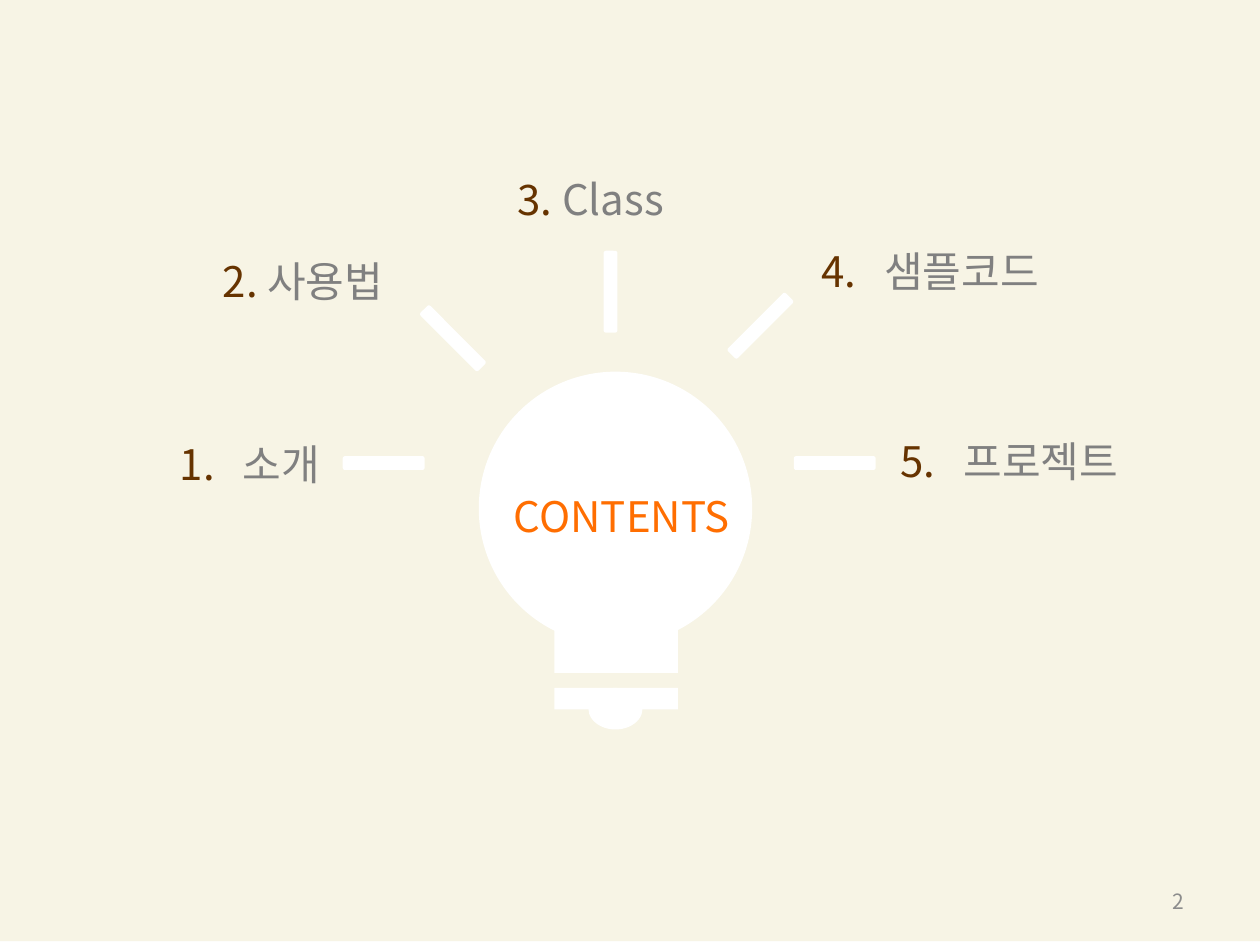
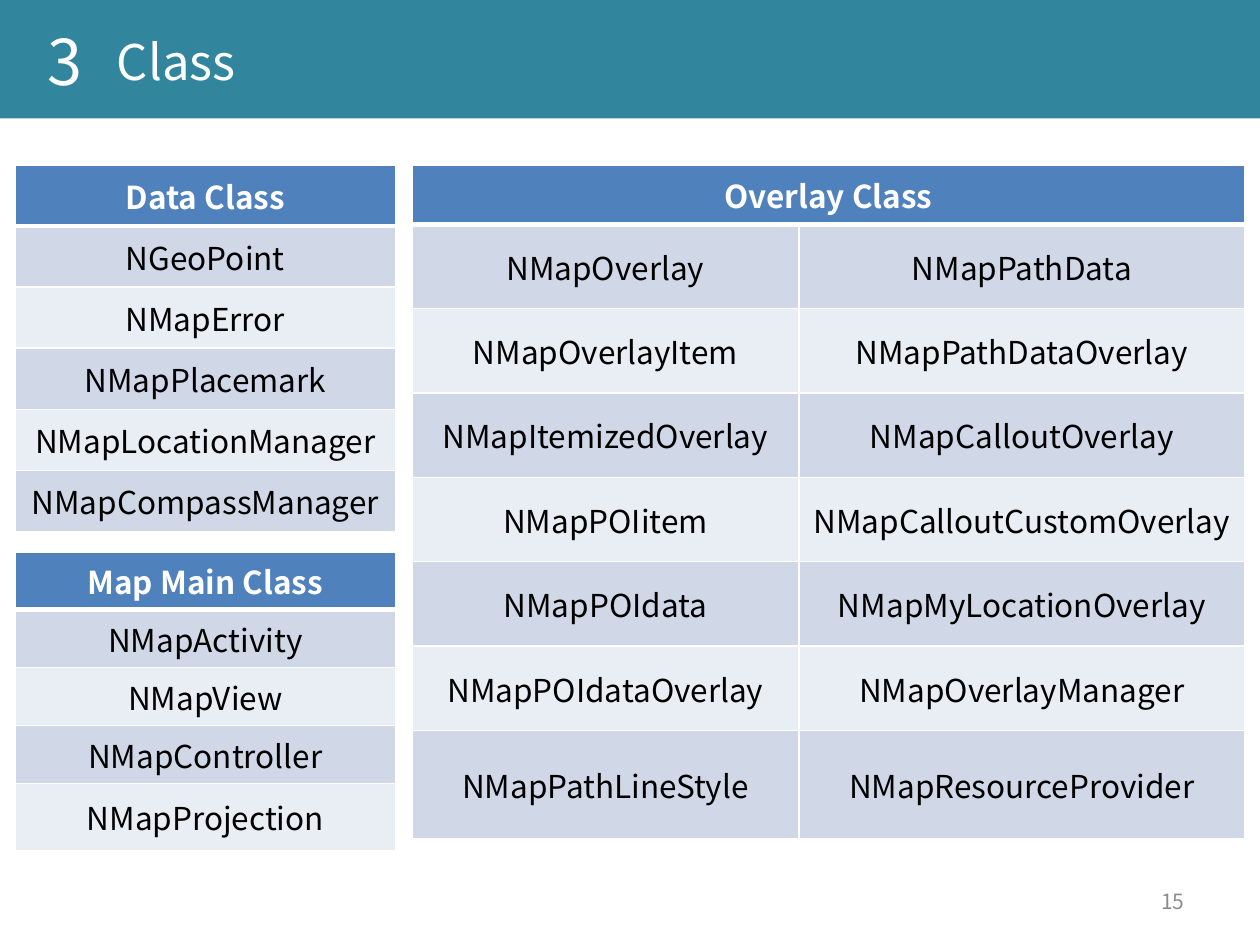
from lxml.etree import SubElement
from pptx import Presentation
from pptx.dml.color import RGBColor
from pptx.enum.shapes import MSO_SHAPE as SHAPE
from pptx.enum.text import MSO_ANCHOR as ANCHOR, PP_ALIGN as ALIGN
from pptx.oxml import parse_xml
from pptx.oxml.ns import nsdecls, qn
from pptx.util import Inches, Pt

FONT = "Noto Sans CJK KR"
CREAM, WHITE, BLACK, TEAL = "F7F4E5", "FFFFFF", "000000", "31859C"
ORANGE, BROWN, GRAY, PAGE_GRAY = "FF6E01", "663300", "808080", "8C8C8C"
HEADER_BLUE, BANDS = "4F81BD", ("D0D8E8", "E9EDF4")
rgb = RGBColor.from_string


def add_block(shapes, kind, left, top, width, height, fill):
    """Add a plain filled shape without line or shadow."""
    block = shapes.add_shape(kind, Inches(left), Inches(top), Inches(width), Inches(height))
    block.shadow.inherit = False
    block.fill.solid()
    block.fill.fore_color.rgb = rgb(fill)
    block.line.fill.background()
    return block


def write(paragraph, text, size, color, bold=False):
    """Append one run, with the font set for Latin and Korean letters."""
    run = paragraph.add_run()
    run.text = text
    run.font.size, run.font.bold, run.font.name = Pt(size), bold, FONT
    run.font.color.rgb = rgb(color)
    SubElement(run.font._element, qn("a:ea"), typeface=FONT)


prs = Presentation()
prs.slide_width, prs.slide_height = Inches(10), Inches(7.5)
contents, classes = (prs.slides.add_slide(prs.slide_layouts[6]) for _ in range(2))

# Contents: a light bulb with one ray for each chapter
add_block(contents.shapes, SHAPE.RECTANGLE, 0, -0.03, 10, 7.5, CREAM)
bulb = contents.shapes.add_group_shape().shapes
for kind, *box in [
    (SHAPE.OVAL, 3.8, 2.95, 2.17, 2.17),
    (SHAPE.RECTANGLE, 4.4, 4.67, 0.98, 0.67),
    (SHAPE.RECTANGLE, 4.4, 5.46, 0.98, 0.17),
    (SHAPE.OVAL, 4.67, 5.46, 0.43, 0.33),
]:
    add_block(bulb, kind, *box, WHITE)
for left, top, angle in [(2.72, 3.62, 0), (3.27, 2.63, 45), (4.52, 2.26, 90),
                         (5.71, 2.53, 135), (6.3, 3.62, 0)]:
    ray = add_block(bulb, SHAPE.ROUNDED_RECTANGLE, left, top, 0.65, 0.11, WHITE)
    ray.rotation = angle

# Class: title band and three class tables
add_block(classes.shapes, SHAPE.RECTANGLE, 0, 0, 10, 0.94, TEAL)
class_tables = [
    ("Data Class", 0.12, 1.31, [3.02], [2.91 / 6] * 6,
     [["NGeoPoint"], ["NMapError"], ["NMapPlacemark"], ["NMapLocationManager"],
      ["NMapCompassManager"]]),
    ("Map Main Class", 0.12, 4.38, [3.02], [0.46] * 4 + [0.53],
     [["NMapActivity"], ["NMapView"], ["NMapController"], ["NMapProjection"]]),
    ("Overlay Class", 3.27, 1.31, [3.07, 3.54], [0.47] + [0.67] * 6 + [0.86],
     [["NMapOverlay", "NMapPathData"],
      ["NMapOverlayItem", "NMapPathDataOverlay"],
      ["NMapItemizedOverlay", "NMapCalloutOverlay"],
      ["NMapPOIitem", "NMapCalloutCustomOverlay"],
      ["NMapPOIdata", "NMapMyLocationOverlay"],
      ["NMapPOIdataOverlay", "NMapOverlayManager"],
      ["NMapPathLineStyle", "NMapResourceProvider"]]),
]
for heading, left, top, widths, heights, names in class_tables:
    table = classes.shapes.add_table(
        len(heights), len(widths), Inches(left), Inches(top),
        Inches(sum(widths)), Inches(sum(heights))).table
    table.horz_banding = table.first_row = False
    for column, width in zip(table.columns, widths):
        column.width = Inches(width)
    for row, height in zip(table.rows, heights):
        row.height = Inches(height)
    if len(widths) > 1:
        table.cell(0, 0).merge(table.cell(0, len(widths) - 1))

    for r in range(len(heights)):
        for c in range(len(widths)):
            cell = table.cell(r, c)
            cell.vertical_anchor = ANCHOR.MIDDLE
            cell.fill.solid()
            cell.fill.fore_color.rgb = rgb(BANDS[(r - 1) % 2] if r else HEADER_BLUE)
            borders = {"lnL": 1, "lnR": 1, "lnT": 3 if r == 1 else 1, "lnB": 1 if r else 3}
            for place, (side, points) in enumerate(borders.items()):
                cell._tc.get_or_add_tcPr().insert(place, parse_xml(
                    f'<a:{side} {nsdecls("a")} w="{Pt(points)}"><a:solidFill>'
                    f'<a:srgbClr val="{WHITE}"/></a:solidFill></a:{side}>'))
            if cell.is_spanned:
                continue
            paragraph = cell.text_frame.paragraphs[0]
            paragraph.alignment = ALIGN.CENTER
            if r:
                write(paragraph, names[r - 1][c], 18, BLACK)
            else:
                write(paragraph, heading, 18, WHITE, bold=True)

# Labels: slide, box, size, runs of text and colour
labels = [
    (contents, (3.98, 3.84, 2, 0.5), 24, [("CONTENTS", ORANGE)]),
    (classes, (0.28, 0.13, 0.55, 0.71), 36, [("3", WHITE)]),
    (classes, (0.83, 0.2, 6.14, 0.57), 28, [("Class", WHITE)]),
]
for number, chapter, left, top, width in [
    ("1.\t", "소개", 1.33, 3.43, 1.42),
    ("2. ", "사용법", 1.67, 1.98, 1.57),
    ("3. ", "Class", 4.01, 1.33, 1.68),
    ("4.\t", "샘플코드", 6.42, 1.9, 2.41),
    ("5.\t", "프로젝트", 7.05, 3.41, 2.41),
]:
    labels.append((contents, (left, top, width, 0.5), 24, [(number, BROWN), (chapter, GRAY)]))
for slide, box, size, runs in labels:
    frame = slide.shapes.add_textbox(*map(Inches, box)).text_frame
    frame.word_wrap = True
    paragraph = frame.paragraphs[0]
    if "\t" in runs[0][0]:
        tabs = SubElement(paragraph._p.get_or_add_pPr(), qn("a:tabLst"))
        SubElement(tabs, qn("a:tab"), pos=str(Inches(0.5)), algn="l")
    for text, color in runs:
        write(paragraph, text, size, color)

for slide, page in [(contents, "2"), (classes, "15")]:
    footer = slide.shapes.add_textbox(
        Inches(7.17), Inches(6.95), Inches(2.33), Inches(0.4)).text_frame
    footer.word_wrap = True
    footer.vertical_anchor = ANCHOR.MIDDLE
    footer.paragraphs[0].alignment = ALIGN.RIGHT
    write(footer.paragraphs[0], page, 12, PAGE_GRAY)

prs.save("out.pptx")
